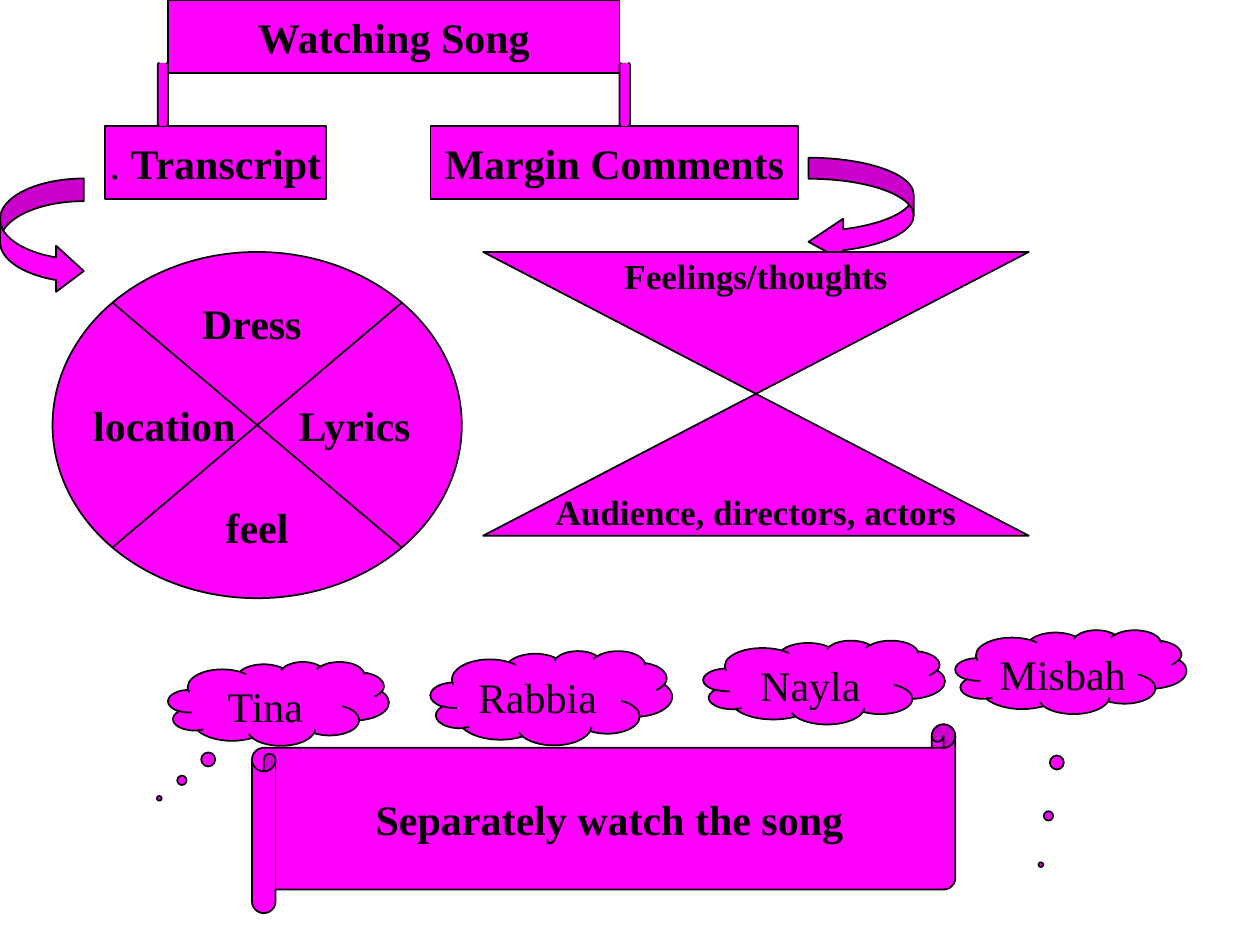
"""Build the slide that plans how a class watches a song."""
import pptx
import pptx.dml.color
import pptx.enum.shapes
import pptx.enum.text
import pptx.util

Cm = pptx.util.Cm
Pt = pptx.util.Pt
color = pptx.dml.color.RGBColor.from_string
SHAPE = pptx.enum.shapes.MSO_SHAPE
ANCHOR = pptx.enum.text.MSO_ANCHOR
MAGENTA = "FF00FF"
BLACK = "000000"


def format_run(run, size=24, bold=True):
    run.font.name = "Times New Roman"
    run.font.size = Pt(size)
    run.font.bold = bold
    run.font.color.rgb = color(BLACK)


def add_shape(kind, box, text="", size=24, bold=True, gap=0, adjustments=(), wrap=False, anchor=ANCHOR.MIDDLE):
    shape = slide.shapes.add_shape(kind, *[Cm(length) for length in box])
    shape.shadow.inherit = False
    shape.fill.solid()
    shape.fill.fore_color.rgb = color(MAGENTA)
    shape.line.color.rgb = color(BLACK)
    shape.line.width = Pt(1)
    for index, value in enumerate(adjustments):
        shape.adjustments[index] = value
    if text:
        frame = shape.text_frame
        frame.text = text
        frame.word_wrap = wrap
        frame.vertical_anchor = anchor
        for index, paragraph in enumerate(frame.paragraphs):
            paragraph.alignment = pptx.enum.text.PP_ALIGN.CENTER
            if index:
                paragraph.space_before = Pt(gap)
            for run in paragraph.runs:
                format_run(run, size, bold)
    return shape


presentation = pptx.Presentation()
presentation.slide_width = Cm(25.4)
presentation.slide_height = Cm(19.05)
slide = presentation.slides.add_slide(presentation.slide_layouts[6])

add_shape(SHAPE.RECTANGLE, (3.39, 0, 9.1, 1.48), "Watching Song")
transcript = add_shape(SHAPE.RECTANGLE, (2.12, 2.54, 4.45, 1.48), ". ", bold=False)
run = transcript.text_frame.paragraphs[0].add_run()
run.text = "Transcript"
format_run(run)
add_shape(SHAPE.RECTANGLE, (8.68, 2.54, 7.41, 1.48), "Margin Comments")

add_shape(SHAPE.CURVED_RIGHT_ARROW, (0, 3.6, 1.69, 2.33), adjustments=(0.27, 0.55, 0.33))
add_shape(SHAPE.CURVED_LEFT_ARROW, (16.3, 3.18, 2.12, 2.12), adjustments=(0.2, 0.4, 0.33))

aspects = add_shape(SHAPE.FLOWCHART_SUMMING_JUNCTION, (1.06, 5.08, 8.25, 6.98),
                    "Dress \nlocation\nfeel", gap=29.5)
middle = aspects.text_frame.paragraphs[1]
for text, spacing in ((" ", 30), ("Lyrics ", 0)):
    run = middle.add_run()
    run.text = text
    format_run(run)
    run.font._element.set("spc", str(spacing * 100))

add_shape(SHAPE.FLOWCHART_COLLATE, (9.74, 5.08, 11, 5.72),
          "Feelings/thoughts\nAudience, directors, actors", size=20, gap=111)

clouds = (
    ("Tina ", (3.39, 13.34, 4.45, 1.69), (-0.54, 1.13)),
    ("Rabbia ", (8.68, 13.12, 4.87, 1.9), (-0.45, 1.19)),
    ("Nayla ", (14.18, 12.91, 4.87, 1.69), (-0.32, 1.95)),
    ("Misbah ", (19.26, 12.7, 4.66, 1.69), (-0.13, 2.3)),
)
for name, box, tail in clouds:
    add_shape(SHAPE.CLOUD_CALLOUT, box, name, bold=False, adjustments=tail,
              wrap=True, anchor=ANCHOR.TOP)

add_shape(SHAPE.HORIZONTAL_SCROLL, (5.08, 14.6, 14.18, 3.81), "Separately watch the song",
          adjustments=(0.125,))

for left in (3.18, 12.49):
    add_shape(SHAPE.DOUBLE_BRACKET, (left, 1.27, 0.21, 1.27), adjustments=(0.17,))

presentation.save("out.pptx")
